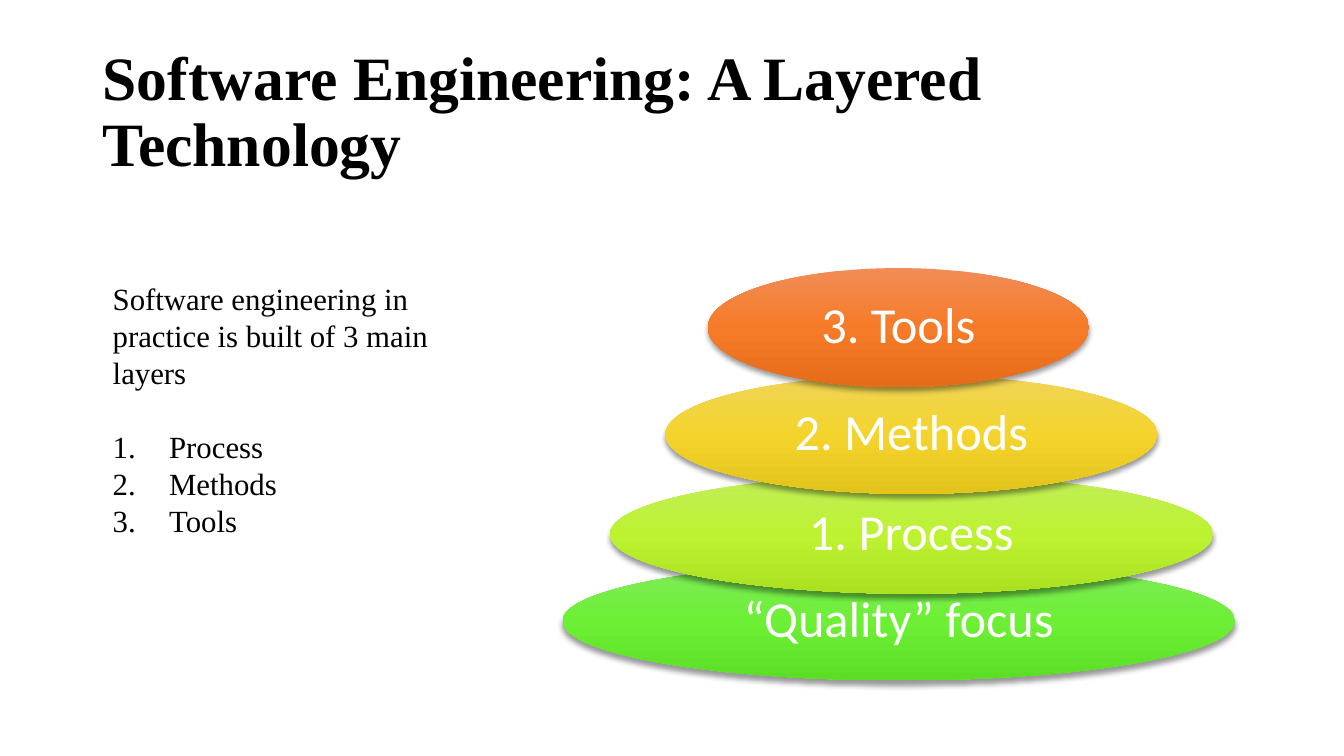
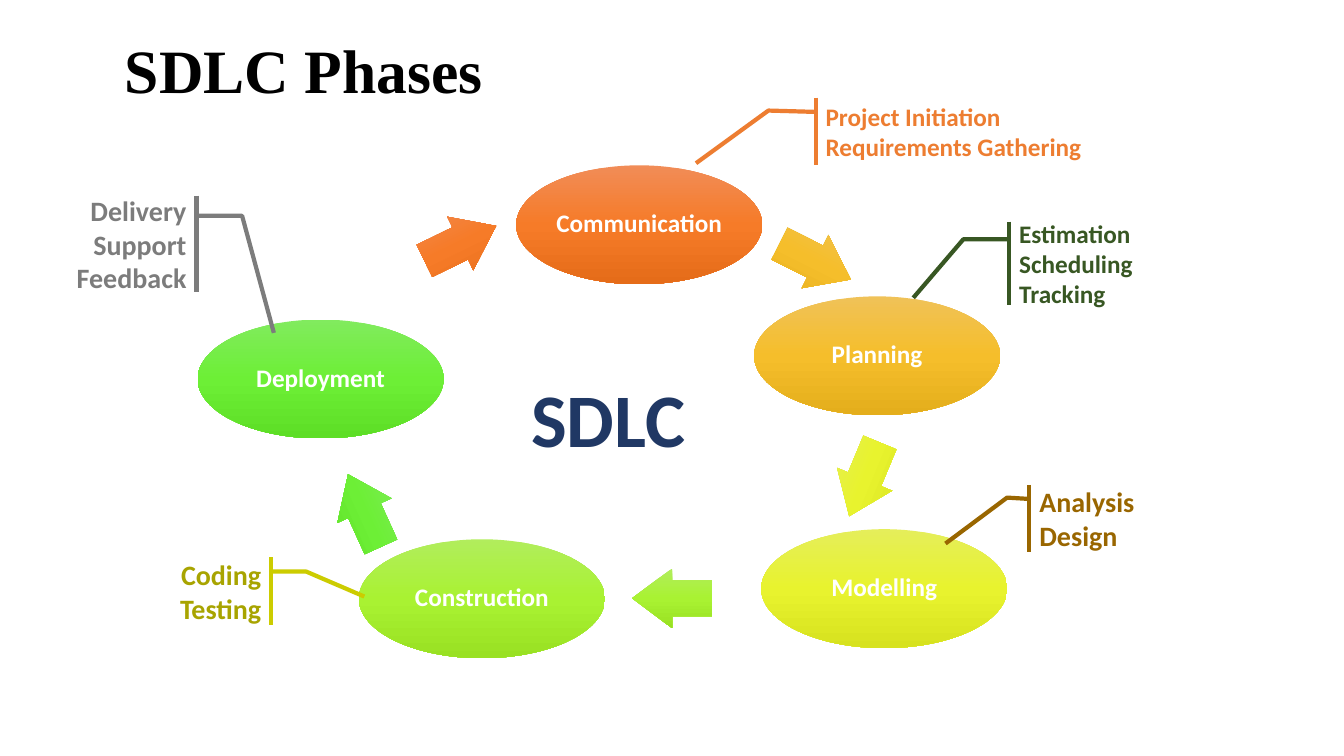
from copy import deepcopy

from lxml import etree
from pptx import Presentation
from pptx.dml.color import RGBColor
from pptx.enum.shapes import MSO_SHAPE
from pptx.enum.text import MSO_ANCHOR, PP_ALIGN
from pptx.oxml.ns import qn
from pptx.util import Pt

PX = 9144  # 100 px to the inch
SERIF, SANS = "Times New Roman", "Calibri"
BLACK, WHITE, NAVY = "000000", "FFFFFF", "203864"
ORANGE = ("F18C57", "F67B28", "E56C19")
AMBER = ("F0C258", "F5BE2B", "E4AE1C")
GOLD = ("EFD459", "F4D42C", "E3C41D")
YELLOW = ("E5EE5A", "E8F32E", "D7E21F")
LIME = ("C1ED5B", "BDF231", "ACE122")
LEAF = ("B1ED5C", "A9F232", "99E123")
GREEN = ("81EB5E", "6DEF36", "5DDE26")
OVAL_H = 118
TITLE = dict(size=44, color=BLACK, font=SERIF, bold=True, spacing=0.9)


def write(sp, text, size, color, font=SANS, bold=False, align=PP_ALIGN.LEFT,
          anchor=MSO_ANCHOR.MIDDLE, spacing=1.0, wrap=True):
    tf = sp.text_frame
    tf.text = text
    tf.word_wrap = wrap
    tf.vertical_anchor = anchor
    for p in tf.paragraphs:
        p.alignment = align
        p.line_spacing = spacing
        for r in p.runs:
            r.font.size, r.font.name, r.font.bold = Pt(size), font, bold
            r.font.color.rgb = RGBColor.from_string(color)


def add_glossy(s, kind, x, y, w, h, colors):
    """Add a borderless shape shaded from top to bottom in three colours."""
    sp = s.shapes.add_shape(kind, x * PX, y * PX, w * PX, h * PX)
    sp.shadow.inherit = False
    sp.line.fill.background()
    sp.fill.gradient()
    sp.fill.gradient_angle = 270
    stops = sp._element.spPr.find(qn("a:gradFill")).find(qn("a:gsLst"))
    stops.insert(1, deepcopy(stops[0]))
    for stop, color, position in zip(sp.fill.gradient_stops, colors, (0, 0.5, 1)):
        stop.color.rgb = RGBColor.from_string(color)
        stop.position = position
    return sp


prs = Presentation()
prs.slide_width, prs.slide_height = 1333 * PX, 750 * PX
blank = prs.slide_layouts[6]

# Slide 1: layers
s = prs.slides.add_slide(blank)
title = s.shapes.add_textbox(92 * PX, 40 * PX, 1150 * PX, 145 * PX)
write(title, "Software Engineering: A Layered Technology", **TITLE)

intro = s.shapes.add_textbox(102 * PX, 272 * PX, 354 * PX, 269 * PX)
write(intro, "Software engineering in practice is built of 3 main layers\n"
      "Process\nMethods\nTools", 22, BLACK, SERIF,
      anchor=MSO_ANCHOR.TOP, spacing=Pt(26.5))
items = intro.text_frame.paragraphs[1:]
items[0].space_before = Pt(26.5)
for p in items:
    pPr = p._p.get_or_add_pPr()
    pPr.set("marL", str(56 * PX))
    pPr.set("indent", str(-56 * PX))
    etree.SubElement(pPr, qn("a:buAutoNum"), type="arabicPeriod")

for text, x, y, w, colors in (
    ("“Quality” focus", 558, 557, 667, GREEN),
    ("1. Process", 605, 471, 598, LIME),
    ("2. Methods", 660, 372, 488, GOLD),
    ("3. Tools", 702, 266, 378, ORANGE),
):
    sp = add_glossy(s, MSO_SHAPE.OVAL, x, y, w, OVAL_H, colors)
    write(sp, text, 36, WHITE, align=PP_ALIGN.CENTER, spacing=0.9, wrap=False)
    effects = sp._element.spPr.find(qn("a:effectLst"))
    shadow = etree.SubElement(effects, qn("a:outerShdw"), blurRad=str(Pt(4)),
                              dist=str(Pt(3)), dir="5400000", rotWithShape="0")
    shade = etree.SubElement(shadow, qn("a:srgbClr"), val=BLACK)
    etree.SubElement(shade, qn("a:alpha"), val="40000")

# Slide 2: cycle
s = prs.slides.add_slide(blank)
title = s.shapes.add_textbox(114 * PX, 38 * PX, 1150 * PX, 70 * PX)
write(title, "SDLC Phases", **TITLE)

for text, x, y, colors in (
    ("Communication", 512, 164, ORANGE),
    ("Planning", 748, 294, AMBER),
    ("Modelling", 755, 525, YELLOW),
    ("Construction", 356, 535, LEAF),
    ("Deployment", 196, 317, GREEN),
):
    sp = add_glossy(s, MSO_SHAPE.OVAL, x, y, 244, OVAL_H, colors)
    write(sp, text, 18, WHITE, bold=True, align=PP_ALIGN.CENTER, spacing=0.9, wrap=False)

for kind, x, y, rotation, colors in (
    (MSO_SHAPE.RIGHT_ARROW, 769, 230, 26.7, AMBER),
    (MSO_SHAPE.LEFT_ARROW, 818, 446, 292.6, YELLOW),
    (MSO_SHAPE.LEFT_ARROW, 627, 564, 0, LEAF),
    (MSO_SHAPE.LEFT_ARROW, 322, 477, 65.6, GREEN),
    (MSO_SHAPE.RIGHT_ARROW, 417, 212, 334, ORANGE),
):
    sp = add_glossy(s, kind, x, y, 79, 59, colors)
    sp.adjustments[0], sp.adjustments[1] = 0.6, 0.67
    sp.rotation = rotation

hub = s.shapes.add_textbox(516 * PX, 364 * PX, 175 * PX, 101 * PX)
write(hub, "SDLC", 54, NAVY, bold=True, align=PP_ALIGN.CENTER,
      anchor=MSO_ANCHOR.TOP, wrap=False)

# Each leader is its bend and its tip as (y, x) fractions of the box
for text, x, y, w, h, size, line, ink, flip, leader in (
    ("Project Initiation\nRequirements Gathering", 809, 97, 276, 67, 18,
     "ED7D31", "ED7D31", False, (0.19, -0.17, 0.97, -0.43)),
    ("Estimation\nScheduling\nTracking", 1001, 220, 138, 83, 18,
     "385723", "385723", False, (0.21, -0.33, 0.91, -0.69)),
    ("Analysis\nDesign", 1021, 481, 130, 67, 20,
     "996600", "996600", False, (0.19, -0.17, 0.87, -0.64)),
    ("Coding\nTesting", 164, 553, 105, 67, 20,
     "CCCC00", "A8A400", True, (0.21, -0.33, 0.58, -0.88)),
    ("Delivery\nSupport\nFeedback", 58, 194, 137, 96, 20,
     "7C7C7C", "7C7C7C", True, (0.21, -0.33, 1.42, -0.56)),
):
    sp = s.shapes.add_shape(MSO_SHAPE.LINE_CALLOUT_2_ACCENT_BAR,
                            x * PX, y * PX, w * PX, h * PX)
    sp.shadow.inherit = False
    sp.fill.solid()
    sp.fill.fore_color.rgb = RGBColor.from_string(WHITE)
    sp.line.color.rgb = RGBColor.from_string(line)
    sp.line.width = Pt(3)
    for i, value in enumerate((0.21, 0, *leader)):
        sp.adjustments[i] = value
    if flip:
        sp._element.spPr.find(qn("a:xfrm")).set("flipH", "1")
    write(sp, text, size, ink, bold=True,
          align=PP_ALIGN.RIGHT if flip else PP_ALIGN.LEFT)

prs.save("out.pptx")
